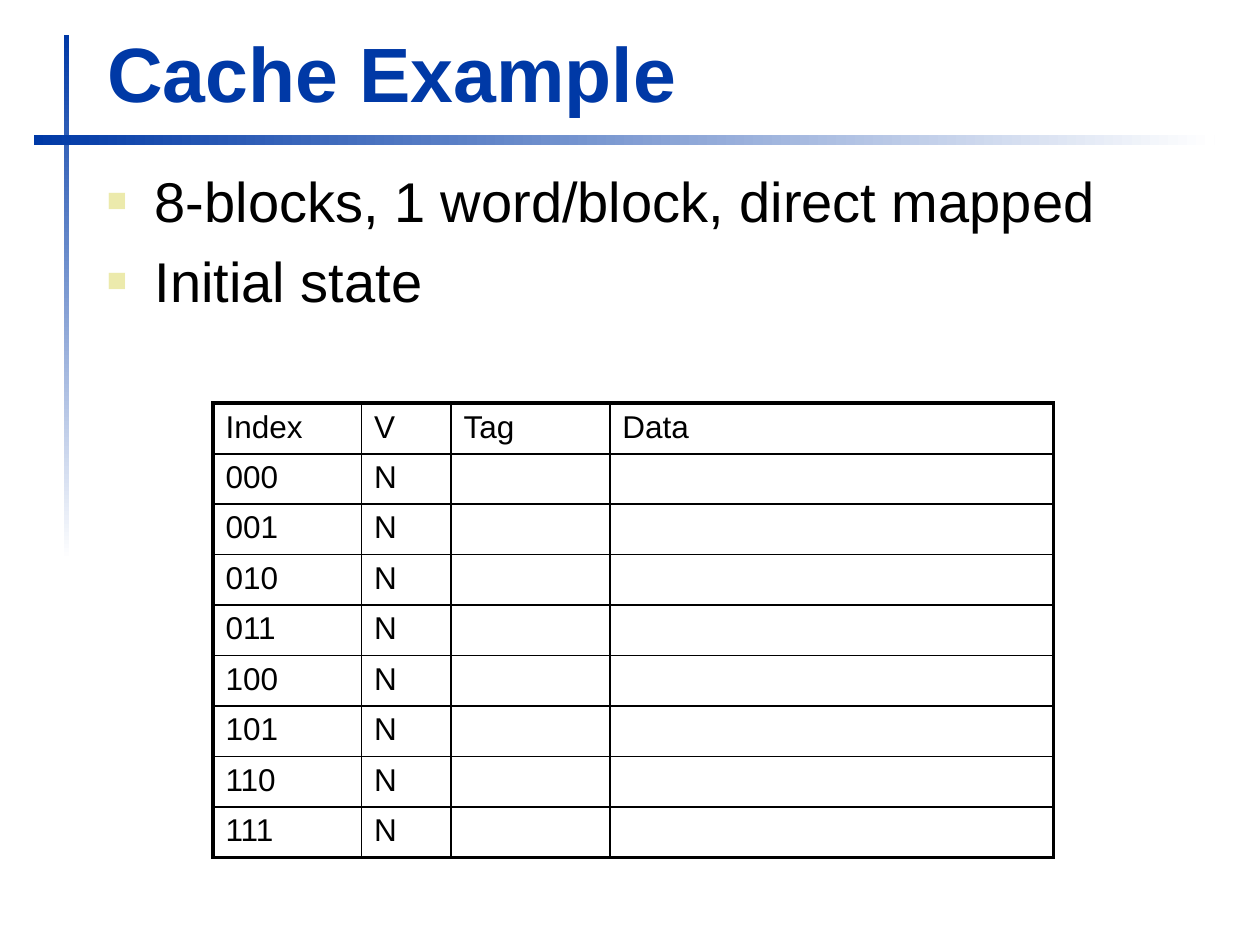
"""Build the cache example slide: two bullets above an empty direct-mapped cache table."""
from lxml import etree
from pptx import Presentation
from pptx.dml.color import RGBColor
from pptx.enum.shapes import MSO_SHAPE
from pptx.enum.text import MSO_ANCHOR, PP_ALIGN
from pptx.oxml.ns import qn
from pptx.util import Inches, Pt

RECTANGLE = MSO_SHAPE.RECTANGLE
BOTTOM, LEFT = MSO_ANCHOR.BOTTOM, PP_ALIGN.LEFT
BLUE = RGBColor(0x00, 0x39, 0xA6)
WHITE = RGBColor(0xFF, 0xFF, 0xFF)
BLACK = RGBColor(0x00, 0x00, 0x00)
CREAM = RGBColor(0xEC, 0xEA, 0xAC)

TITLE = "Cache Example"
BULLETS = ["8-blocks, 1 word/block, direct mapped", "Initial state"]
HEADER = ["Index", "V", "Tag", "Data"]
CACHE_ROWS = [HEADER] + [[f"{block:03b}", "N", "", ""] for block in range(8)]

RULES = [
    {"box": (0.51, 0.28, 0.04, 4.17), "angle": 270},
    {"box": (0.27, 1.07, 9.37, 0.08), "angle": 0},
]
TITLE_BOX = (0.75, 0.16, 9.03, 0.83)
BULLET_BOX = (0.75, 1.27, 9.05, 1.42)
TABLE_BOX = (1.69, 3.2, 6.67, 3.24)
COLUMN_WIDTHS = [1.18, 0.71, 1.26, 3.52]
ROW_HEIGHT = 0.36
BULLET_INDENT = 0.38
OUTER, UNDER_HEADER, INNER = 2.25, 1.5, 1
COLUMN_LINES = [OUTER] + [INNER] * (len(HEADER) - 1) + [OUTER]
ROW_LINES = [OUTER, UNDER_HEADER] + [INNER] * (len(CACHE_ROWS) - 2) + [OUTER]

TITLE_FONT = {"name": "Arial", "size": Pt(44), "bold": True}
BULLET_FONT = {"name": "Arial", "size": Pt(32)}
CELL_FONT = {"name": "Arial", "size": Pt(18)}


def inches(box):
    return [Inches(length) for length in box]


def format_font(font, values, color):
    for attribute, value in values.items():
        setattr(font, attribute, value)
    font.color.rgb = color


def add_rule(slide, box, angle):
    rule = slide.shapes.add_shape(RECTANGLE, *inches(box))
    rule.shadow.inherit = False
    rule.line.fill.background()
    rule.fill.gradient()
    rule.fill.gradient_angle = angle
    for stop, color in zip(rule.fill.gradient_stops, (BLUE, WHITE)):
        stop.color.rgb = color


def add_title(slide):
    title = slide.shapes.title
    title.left, title.top, title.width, title.height = inches(TITLE_BOX)
    title.text_frame.text = TITLE
    title.text_frame.vertical_anchor = BOTTOM
    paragraph = title.text_frame.paragraphs[0]
    paragraph.alignment = LEFT
    format_font(paragraph.runs[0].font, TITLE_FONT, BLUE)


def add_bullet_mark(paragraph):
    properties = paragraph._p.get_or_add_pPr()
    properties.set("marL", str(Inches(BULLET_INDENT)))
    properties.set("indent", str(-Inches(BULLET_INDENT)))
    color = etree.SubElement(properties, qn("a:buClr"))
    etree.SubElement(color, qn("a:srgbClr"), val=str(CREAM))
    etree.SubElement(properties, qn("a:buSzPct"), val="60000")
    etree.SubElement(properties, qn("a:buFont"), typeface="Arial")
    etree.SubElement(properties, qn("a:buChar"), char="■")


def add_bullets(slide):
    frame = slide.shapes.add_textbox(*inches(BULLET_BOX)).text_frame
    frame.word_wrap = True
    frame.text = "\n".join(BULLETS)
    for number, paragraph in enumerate(frame.paragraphs):
        add_bullet_mark(paragraph)
        paragraph.space_before = Pt(7.4 if number else 0)
        format_font(paragraph.runs[0].font, BULLET_FONT, BLACK)


def add_borders(cell, weights):
    properties = cell._tc.get_or_add_tcPr()
    for side, weight in weights.items():
        line = etree.SubElement(properties, qn(f"a:ln{side}"), w=str(Pt(weight)))
        fill = etree.SubElement(line, qn("a:solidFill"))
        etree.SubElement(fill, qn("a:srgbClr"), val=str(BLACK))


def add_cache_table(slide):
    table = slide.shapes.add_table(
        len(CACHE_ROWS), len(HEADER), *inches(TABLE_BOX)
    ).table
    table.first_row = table.horz_banding = False
    for column, width in zip(table.columns, COLUMN_WIDTHS):
        column.width = Inches(width)
    for r, values in enumerate(CACHE_ROWS):
        table.rows[r].height = Inches(ROW_HEIGHT)
        for c, value in enumerate(values):
            cell = table.cell(r, c)
            cell.text = value
            format_font(cell.text_frame.paragraphs[0].font, CELL_FONT, BLACK)
            add_borders(cell, {
                "L": COLUMN_LINES[c], "R": COLUMN_LINES[c + 1],
                "T": ROW_LINES[r], "B": ROW_LINES[r + 1],
            })
            cell.fill.background()


def main():
    presentation = Presentation()
    presentation.slide_width, presentation.slide_height = Inches(10), Inches(7.5)
    slide = presentation.slides.add_slide(presentation.slide_layouts[5])
    for rule in RULES:
        add_rule(slide, **rule)
    add_title(slide)
    add_bullets(slide)
    add_cache_table(slide)
    presentation.save("out.pptx")


if __name__ == "__main__":
    main()
